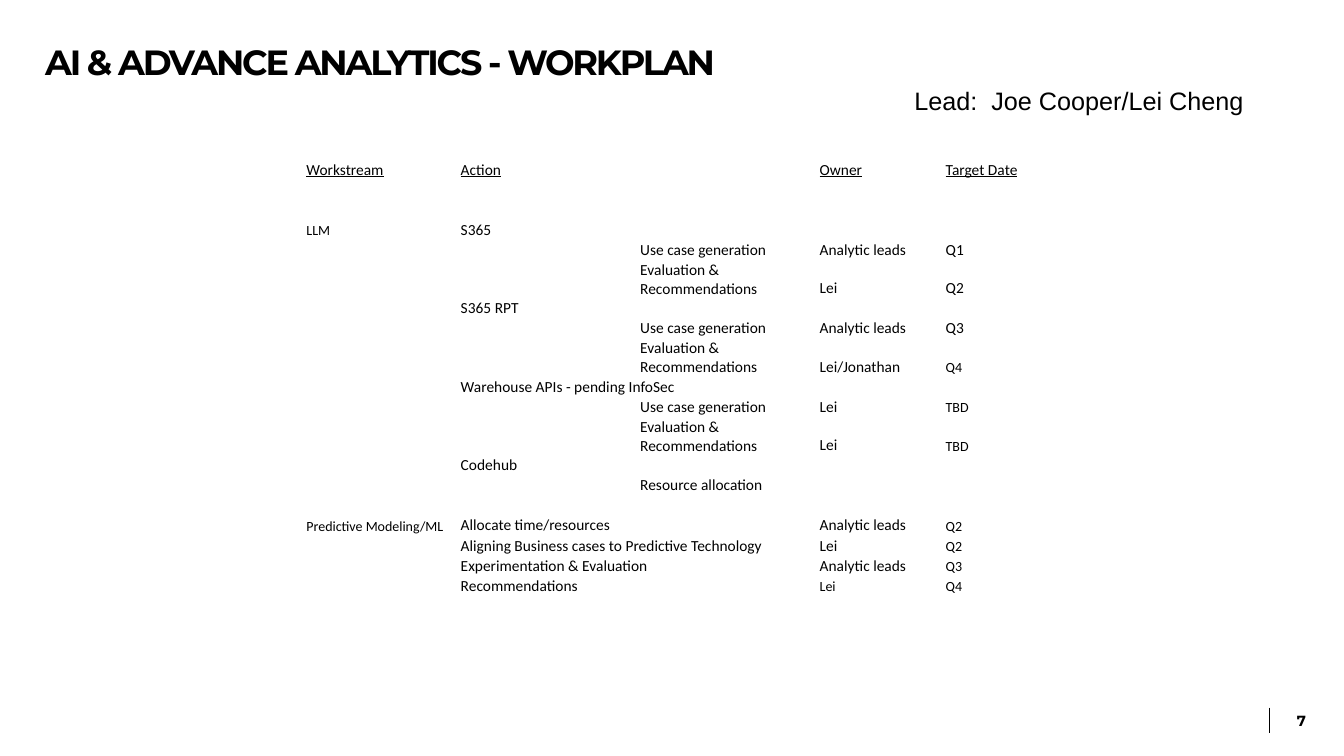
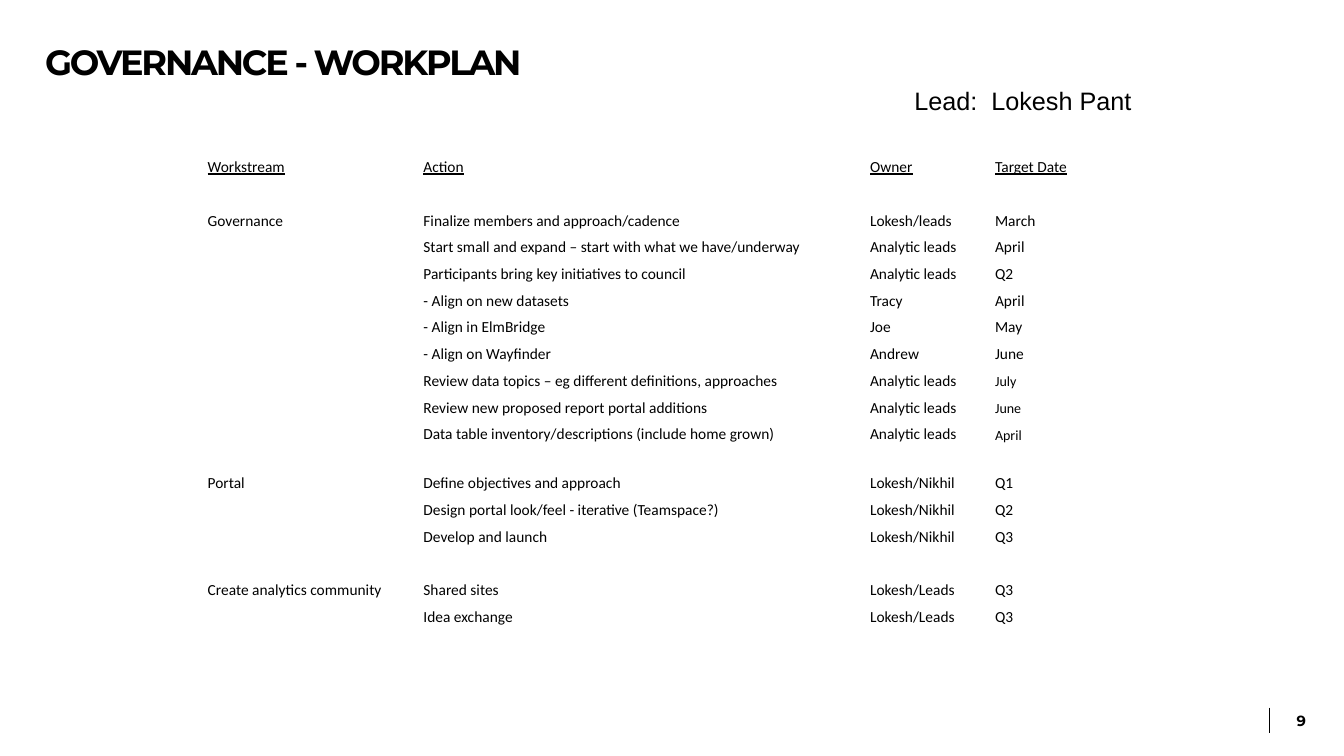
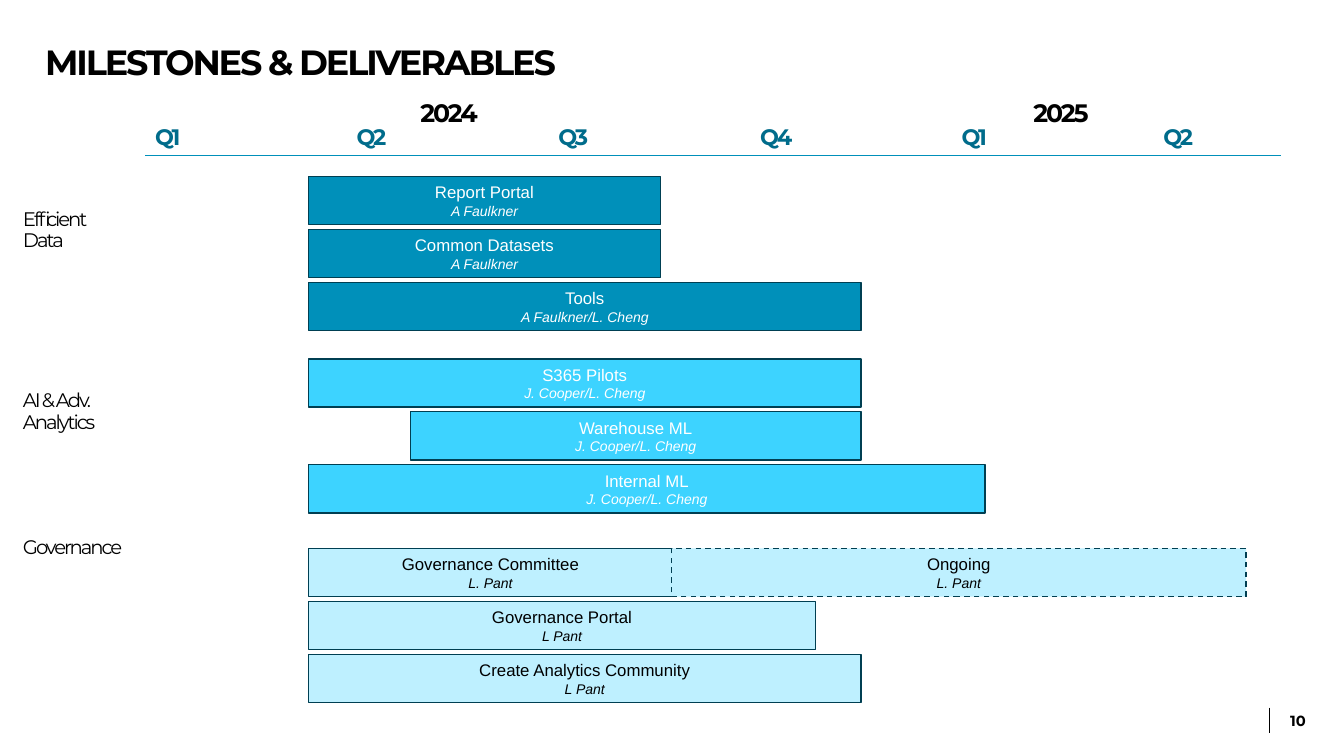
from lxml import etree
from pptx import Presentation
from pptx.dml.color import RGBColor
from pptx.enum.dml import MSO_LINE
from pptx.enum.shapes import MSO_CONNECTOR as LINK, MSO_SHAPE as SHAPE
from pptx.enum.text import MSO_ANCHOR as ANCHOR, PP_ALIGN as ALIGN
from pptx.oxml.ns import qn
from pptx.util import Inches, Pt

BLACK = RGBColor(0x00, 0x00, 0x00)
WHITE = RGBColor(0xFF, 0xFF, 0xFF)
NAVY = RGBColor(0x00, 0x3F, 0x52)
TEAL = RGBColor(0x00, 0x6C, 0x8B)
BLUE = RGBColor(0x00, 0x90, 0xBA)
SKY = RGBColor(0x3D, 0xD3, 0xFF)
PALE = RGBColor(0xBE, 0xF0, 0xFF)

HEAD = "Montserrat"
BODY = "Arial"
GRID = "Calibri"


class Deck:
    def __init__(self):
        self.prs = Presentation()
        self.prs.slide_width = Inches(13.33)
        self.prs.slide_height = Inches(7.5)

    def sheet(self, title, number):
        self.slide = self.prs.slides.add_slide(self.prs.slide_layouts[6])
        self.shapes = self.slide.shapes
        self.line(12.59, 7.02, 12.59, 7.27, BLACK)
        self.label(title, (0.35, 0.4, 12.7, 1.45), 25, bold=True)
        page = self.text(str(number), (12.55, 6.95, 0.5, 0.4), 10.5, HEAD, bold=True)
        page.vertical_anchor = ANCHOR.MIDDLE
        page.paragraphs[0].alignment = ALIGN.RIGHT

    def style(self, para, size, face, color=BLACK, bold=False):
        font = para.font
        font.size = Pt(size)
        font.name = face
        font.bold = bold
        font.color.rgb = color
        return font

    def text(self, words, box, size, face, color=BLACK, bold=False):
        frame = self.shapes.add_textbox(*map(Inches, box)).text_frame
        frame.word_wrap = True
        frame.text = words
        for para in frame.paragraphs:
            self.style(para, size, face, color, bold)
        return frame

    def label(self, words, box, size, color=BLACK, bold=False):
        frame = self.text(words, box, size, HEAD, color, bold)
        for para in frame.paragraphs:
            para.line_spacing = 0.9
            para.font._rPr.set("spc", "-150")

    def line(self, x1, y1, x2, y2, color):
        link = self.shapes.add_connector(LINK.STRAIGHT, *map(Inches, (x1, y1, x2, y2)))
        link.line.color.rgb = color
        link.line.width = Pt(0.5)
        etree.SubElement(link._element.spPr, qn("a:effectLst"))

    def bar(self, name, owner, box, fill, ink, dash=False):
        rect = self.shapes.add_shape(SHAPE.RECTANGLE, *map(Inches, box))
        rect.shadow.inherit = False
        rect.fill.solid()
        rect.fill.fore_color.rgb = fill
        rect.line.color.rgb = NAVY
        rect.line.width = Pt(1)
        if dash:
            rect.line.dash_style = MSO_LINE.DASH
        frame = rect.text_frame
        frame.vertical_anchor = ANCHOR.MIDDLE
        frame.text = f"{name}\n{owner}"
        for para, size in zip(frame.paragraphs, (12, 10)):
            para.alignment = ALIGN.CENTER
            self.style(para, size, BODY, ink)
        frame.paragraphs[1].font.italic = True

    def table(self, box, widths, rows, odd, small, spans=()):
        grid = self.shapes.add_table(len(rows), len(widths), *map(Inches, box)).table
        grid.first_row = grid.horz_banding = False
        for col, width in zip(grid.columns, widths):
            col.width = Inches(width)
        even = (box[3] - sum(odd.values())) / (len(rows) - len(odd))
        for r, row in enumerate(rows):
            grid.rows[r].height = Inches(odd.get(r, even))
            for c in range(len(widths)):
                words = row[c] if c < len(row) else ""
                self.cell(grid.cell(r, c), words, 10 if (r, c) in small else 11, r == 0)
        for r in spans:
            grid.cell(r, 1).merge(grid.cell(r, 2))

    def cell(self, cell, words, size, under):
        cell.fill.background()
        cell.vertical_anchor = ANCHOR.BOTTOM
        cell.margin_left = cell.margin_right = cell.margin_top = Inches(0.01)
        cell.margin_bottom = 0
        para = cell.text_frame.paragraphs[0]
        para.text = words
        self.style(para, size, GRID).underline = under
        if not words:
            etree.SubElement(para._p, qn("a:endParaRPr"), sz=str(size * 100))


def plan_ai(deck):
    deck.sheet("AI & ADVANCE ANALYTICS - WORKPLAN", 7)
    deck.text("Lead:  Joe Cooper/Lei Cheng", (8.97, 0.8, 3.83, 0.4), 18, BODY)
    case, review = "Use case generation", "Evaluation & Recommendations"
    rows = [
        ("Workstream", "Action", "", "Owner", "Target Date"),
        (),
        (),
        ("LLM", "S365"),
        ("", "", case, "Analytic leads", "Q1"),
        ("", "", review, "Lei", "Q2"),
        ("", "S365 RPT"),
        ("", "", case, "Analytic leads", "Q3"),
        ("", "", review, "Lei/Jonathan", "Q4"),
        ("", "Warehouse APIs - pending InfoSec"),
        ("", "", case, "Lei", "TBD"),
        ("", "", review, "Lei", "TBD"),
        ("", "Codehub"),
        ("", "", "Resource allocation"),
        (),
        ("Predictive Modeling/ML", "Allocate time/resources", "", "Analytic leads", "Q2"),
        ("", "Aligning Business cases to Predictive Technology", "", "Lei", "Q2"),
        ("", "Experimentation & Evaluation", "", "Analytic leads", "Q3"),
        ("", "Recommendations", "", "Lei", "Q4"),
    ]
    small = {(3, 0), (15, 0), (18, 3)} | {(r, 4) for r in (8, 10, 11, 15, 16, 17, 18)}
    deck.table((3.03, 1.58, 7.28, 4.33), (1.53, 1.78, 1.78, 1.25, 0.93), rows,
               {r: 0.38 for r in (5, 8, 11)}, small, (0, 6, 9, 12, 15, 16, 17, 18))


def plan_gov(deck):
    deck.sheet("GOVERNANCE - WORKPLAN", 9)
    deck.text("Lead:  Lokesh Pant", (8.97, 0.8, 3.83, 0.4), 18, BODY)
    rows = [
        ("Workstream", "Action", "Owner", "Target Date"),
        (),
        ("Governance", "Finalize members and approach/cadence", "Lokesh/leads", "March"),
        ("", "Start small and expand – start with what we have/underway", "Analytic leads", "April"),
        ("", "Participants bring key initiatives to council", "Analytic leads", "Q2"),
        ("", "- Align on new datasets", "Tracy", "April"),
        ("", "- Align in ElmBridge", "Joe", "May"),
        ("", "- Align on Wayfinder", "Andrew", "June"),
        ("", "Review data topics – eg different definitions, approaches", "Analytic leads", "July"),
        ("", "Review new proposed report portal additions", "Analytic leads", "June"),
        ("", "Data table inventory/descriptions (include home grown)", "Analytic leads", "April"),
        (),
        ("Portal", "Define objectives and approach", "Lokesh/Nikhil", "Q1"),
        ("", "Design portal look/feel - iterative (Teamspace?)", "Lokesh/Nikhil", "Q2"),
        ("", "Develop and launch", "Lokesh/Nikhil", "Q3"),
        (),
        ("Create analytics community", "Shared sites", "Lokesh/Leads", "Q3"),
        ("", "Idea exchange", "Lokesh/Leads", "Q3"),
    ]
    deck.table((2.05, 1.49, 8.97, 4.73), (2.14, 4.43, 1.24, 1.16), rows,
               {11: 0.22}, {(r, 3) for r in (8, 9, 10)})


def goals(deck):
    deck.sheet("MILESTONES & DELIVERABLES", 10)
    for year, left in (("2024", 4.07), ("2025", 10.15)):
        deck.label(year, (left, 0.95, 2.56, 1.45), 18, bold=True)
    for i, term in enumerate(("Q1", "Q2", "Q3", "Q4", "Q1", "Q2")):
        deck.label(term, (1.44 + 2 * i, 1.2, 1, 0.34), 16, TEAL, True)
    deck.line(1.44, 1.54, 12.71, 1.54, BLUE)

    start, step, tall = 3.06, 0.525, 0.48
    team = "J. Cooper/L. Cheng"
    groups = [
        ("Efficient\nData", 2.03, 1.75, BLUE, WHITE, [
            ("Report Portal", "A Faulkner", start, 3.49),
            ("Common Datasets", "A Faulkner", start, 3.49),
            ("Tools", "A Faulkner/L. Cheng", start, 5.48)]),
        ("AI & Adv.\nAnalytics", 3.83, 3.56, SKY, WHITE, [
            ("S365 Pilots", team, start, 5.48),
            ("Warehouse ML", team, 4.07, 4.47),
            ("Internal ML", team, start, 6.71)]),
        ("Governance", 5.28, 5.44, PALE, BLACK, [
            ("Governance Committee", "L. Pant", start, 3.61),
            ("Governance Portal", "L Pant", start, 5.03),
            ("Create Analytics Community", "L Pant", start, 5.48)]),
    ]
    for name, y, top, fill, ink, bars in groups:
        deck.label(name, (0.13, y, 1.77, 0.88), 14)
        for i, (task, owner, left, wide) in enumerate(bars):
            deck.bar(task, owner, (left, top + i * step, wide, tall), fill, ink)
    deck.bar("Ongoing", "L. Pant", (6.66, 5.44, 5.7, tall), PALE, BLACK, True)


def main():
    deck = Deck()
    plan_ai(deck)
    plan_gov(deck)
    goals(deck)
    deck.prs.save("out.pptx")


if __name__ == "__main__":
    main()
